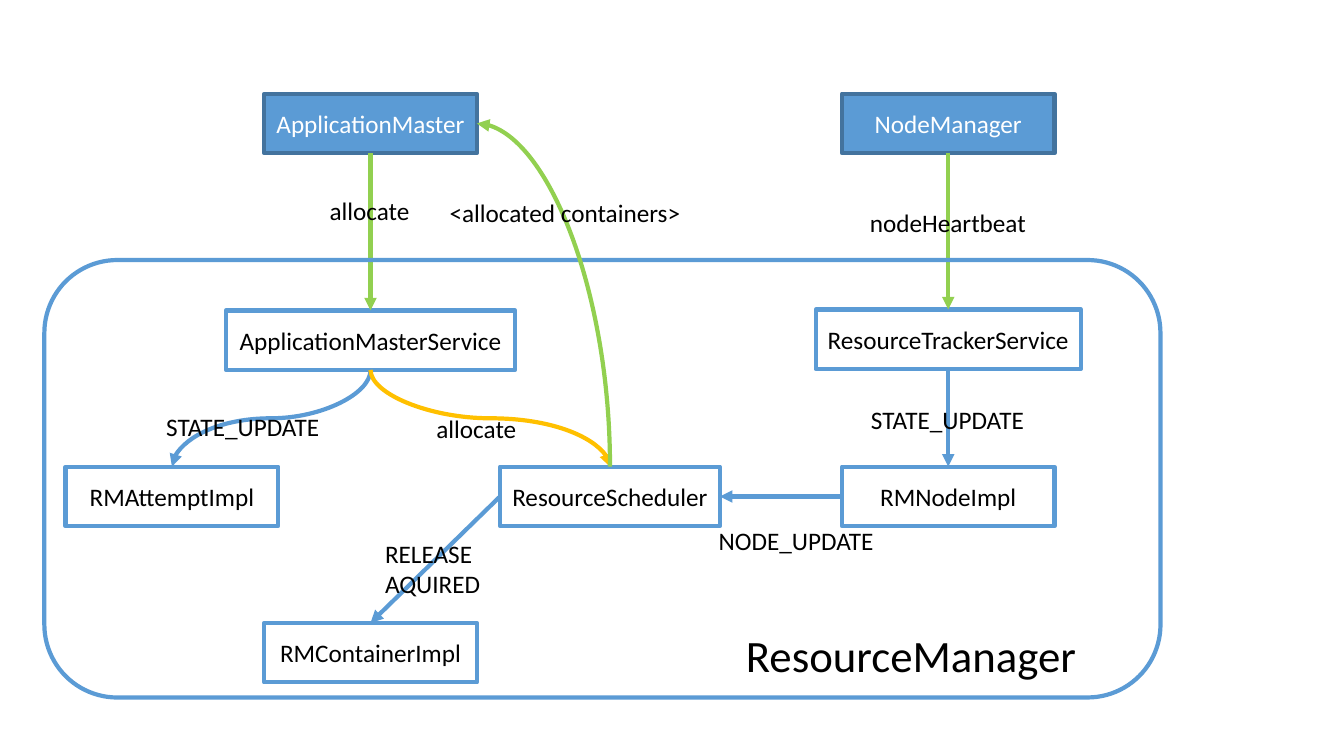
from lxml import etree
from pptx import Presentation
from pptx.dml.color import RGBColor
from pptx.enum.shapes import MSO_CONNECTOR, MSO_SHAPE
from pptx.enum.text import MSO_ANCHOR, MSO_AUTO_SIZE, PP_ALIGN
from pptx.oxml.ns import qn
from pptx.util import Pt

PX = 9144
BOX_HEIGHT = 59
TOP, LEFT, BOTTOM, RIGHT = range(4)

RECT, ROUNDED = MSO_SHAPE.RECTANGLE, MSO_SHAPE.ROUNDED_RECTANGLE
STRAIGHT, CURVE = MSO_CONNECTOR.STRAIGHT, MSO_CONNECTOR.CURVE
MIDDLE, CENTER = MSO_ANCHOR.MIDDLE, PP_ALIGN.CENTER
GROW = MSO_AUTO_SIZE.SHAPE_TO_FIT_TEXT

BLUE = RGBColor(0x5B, 0x9B, 0xD5)
DARK_BLUE = RGBColor(0x43, 0x73, 0x9E)
GREEN = RGBColor(0x92, 0xD0, 0x50)
GOLD = RGBColor(0xFF, 0xC0, 0x00)
WHITE = RGBColor(0xFF, 0xFF, 0xFF)
BLACK = RGBColor(0x00, 0x00, 0x00)


def apply(target, **values):
    """Set every given format value on the target."""
    for attribute, value in values.items():
        setattr(target, attribute, value)


class Diagram:
    """Draws boxes, labels and arrows in one style on the current slide."""

    font = "Calibri"
    size = 18
    stroke = 3

    def __init__(self, slide):
        self.shapes = slide.shapes

    def outline(self, element, color):
        element.line.color.rgb = color
        element.line.width = Pt(self.stroke)

    def fill_text(self, frame, text, color, size, align=None):
        frame.text = text
        for paragraph in frame.paragraphs:
            paragraph.alignment = align
            font = paragraph.runs[0].font
            apply(font, name=self.font, size=Pt(size))
            font.color.rgb = color

    def panel(self, kind, left, top, width, height, line=BLUE):
        panel = self.shapes.add_shape(kind, *(PX * n for n in (left, top, width, height)))
        panel.shadow.inherit = False
        panel.fill.background()
        self.outline(panel, line)
        return panel

    def box(self, text, left, top, width=211, fill=WHITE, line=BLUE, color=BLACK):
        box = self.panel(RECT, left, top, width, BOX_HEIGHT, line)
        box.fill.solid()
        box.fill.fore_color.rgb = fill
        box.text_frame.vertical_anchor = MIDDLE
        self.fill_text(box.text_frame, text, color, self.size, CENTER)
        return box

    def label(self, text, left, top, width, height=40, size=size):
        label = self.shapes.add_textbox(*(PX * n for n in (left, top, width, height)))
        apply(label.text_frame, word_wrap=False, auto_size=GROW)
        self.fill_text(label.text_frame, text, BLACK, size)

    def arrow(self, source, source_side, target, target_side, color=BLUE, kind=STRAIGHT):
        arrow = self.shapes.add_connector(kind, 0, 0, 0, 0)
        arrow.begin_connect(source, source_side)
        arrow.end_connect(target, target_side)
        self.outline(arrow, color)
        properties = arrow.element.spPr
        etree.SubElement(properties.find(qn("a:ln")), qn("a:tailEnd"), type="triangle")
        etree.SubElement(properties, qn("a:effectLst"))
        if kind == CURVE and source_side in (TOP, BOTTOM):
            self.turn(arrow)
            if target_side in (LEFT, RIGHT):
                properties.find(qn("a:prstGeom")).set("prst", "curvedConnector2")

    def turn(self, arrow):
        """Rotate a curve so that it leaves its source vertically."""
        run = arrow.end_x - arrow.begin_x
        rise = arrow.end_y - arrow.begin_y
        center_x = (arrow.begin_x + arrow.end_x) // 2
        center_y = (arrow.begin_y + arrow.end_y) // 2
        width, height = abs(rise), abs(run)
        apply(arrow, left=center_x - width // 2, top=center_y - height // 2,
              width=width, height=height)
        frame = arrow.element.spPr.find(qn("a:xfrm"))
        angle = 90 if rise > 0 else 270
        for name, value in {"rot": angle * 60000, "flipH": 0,
                            "flipV": int(run * rise > 0)}.items():
            frame.set(name, str(value))


def main():
    deck = Presentation()
    apply(deck, slide_width=1333 * PX, slide_height=750 * PX)
    diagram = Diagram(deck.slides.add_slide(deck.slide_layouts[6]))

    client = {"fill": BLUE, "line": DARK_BLUE, "color": WHITE}
    master = diagram.box("ApplicationMaster", 262, 93, **client)
    master_service = diagram.box("ApplicationMasterService", 224, 308, 287)
    attempt = diagram.box("RMAttemptImpl", 65, 463)
    scheduler = diagram.box("ResourceScheduler", 496, 463, 218)
    container = diagram.box("RMContainerImpl", 262, 618)
    node = diagram.box("RMNodeImpl", 835, 463)
    tracker = diagram.box("ResourceTrackerService", 809, 307, 263)
    node_manager = diagram.box("NodeManager", 835, 93, **client)

    diagram.arrow(master, BOTTOM, master_service, TOP, GREEN)
    diagram.arrow(master_service, BOTTOM, attempt, TOP, BLUE, CURVE)
    diagram.arrow(master_service, BOTTOM, scheduler, TOP, GOLD, CURVE)
    diagram.arrow(scheduler, LEFT, container, TOP)
    diagram.arrow(node_manager, BOTTOM, tracker, TOP, GREEN)
    diagram.arrow(tracker, BOTTOM, node, TOP)
    diagram.arrow(node, LEFT, scheduler, RIGHT, BLUE, CURVE)

    diagram.panel(ROUNDED, 44, 258, 1107, 434)
    diagram.label("ResourceManager", 730, 618, 351, 64, 32)
    diagram.arrow(scheduler, TOP, master, RIGHT, GREEN, CURVE)

    for event in (
        ("allocate", 317, 189, 100),
        ("STATE_UPDATE", 155, 403, 173),
        ("allocate", 423, 405, 100),
        ("<allocated containers>", 436, 191, 252),
        ("nodeHeartbeat", 853, 201, 177),
        ("STATE_UPDATE", 854, 396, 173),
        ("NODE_UPDATE", 703, 516, 175),
        ("RELEASE\nAQUIRED", 372, 529, 115, 71),
    ):
        diagram.label(*event)

    deck.save("out.pptx")


if __name__ == "__main__":
    main()
